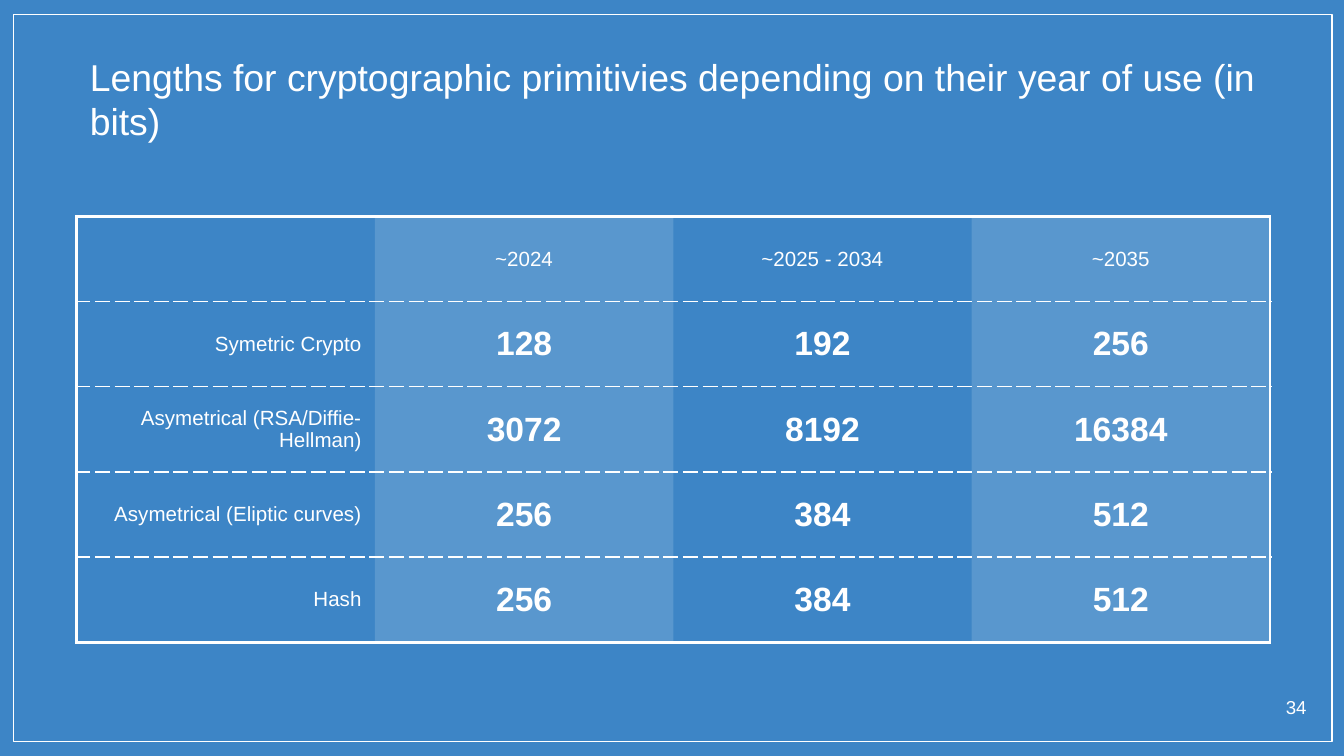
"""Build a slide with a table of key lengths by year of use."""
from dataclasses import dataclass

from lxml.etree import SubElement
from pptx import Presentation
from pptx.dml.color import RGBColor
from pptx.enum.shapes import MSO_SHAPE
from pptx.enum.text import MSO_ANCHOR, PP_ALIGN
from pptx.oxml.ns import qn
from pptx.util import Inches, Pt


@dataclass(frozen=True)
class Theme:
    blue: RGBColor = RGBColor(0x3D, 0x85, 0xC6)
    white: RGBColor = RGBColor(0xFF, 0xFF, 0xFF)
    font: str = "Arial"
    title: float = 20
    label: float = 11
    value: float = 18
    number: float = 10
    thin: float = 0.75
    thick: float = 1.5
    band_alpha: int = 15


THEME = Theme()


def write(frame, text, size, align, bold=False):
    paragraph = frame.paragraphs[0]
    paragraph.text = text
    paragraph.alignment = align
    formats = {"name": THEME.font, "size": Pt(size), "bold": bold}
    for attribute, value in formats.items():
        setattr(paragraph.font, attribute, value)
    paragraph.font.color.rgb = THEME.white


def add_border(cell, side, width=0, dash="solid"):
    line = SubElement(cell._tc.get_or_add_tcPr(), qn(f"a:ln{side}"), w=str(Pt(width)))
    if width:
        fill = SubElement(line, qn("a:solidFill"))
        SubElement(fill, qn("a:srgbClr"), val=str(THEME.white))
        SubElement(line, qn("a:prstDash"), val=dash)
    else:
        SubElement(line, qn("a:noFill"))


deck = Presentation()
deck.slide_width = Inches(10)
deck.slide_height = deck.slide_width * 9 // 16
slide = deck.slides.add_slide(deck.slide_layouts[6])
slide.background.fill.solid()
slide.background.fill.fore_color.rgb = THEME.blue

frame_line = slide.shapes.add_shape(
    MSO_SHAPE.RECTANGLE, Inches(0.1), Inches(0.11), Inches(9.81), Inches(5.41)
)
frame_line.shadow.inherit = False
frame_line.fill.background()
frame_line.line.color.rgb = THEME.white
frame_line.line.width = Pt(THEME.thin)

captions = [
    ("Lengths for cryptographic primitivies depending on their year of use (in bits)",
     (0.57, 0.3, 9.4, 0.77), THEME.title, PP_ALIGN.LEFT),
    ("34", (9.32, 5.09, 0.5, 0.32), THEME.number, PP_ALIGN.RIGHT),
]
for text, place, size, align in captions:
    caption = slide.shapes.add_textbox(*map(Inches, place)).text_frame
    caption.word_wrap = True
    for side in ("left", "top", "right", "bottom"):
        setattr(caption, f"margin_{side}", Inches(0.1))
    write(caption, text, size, align)

lengths = [
    ("", "~2024", "~2025 - 2034", "~2035"),
    ("Symetric Crypto", "128", "192", "256"),
    ("Asymetrical (RSA/Diffie-Hellman)", "3072", "8192", "16384"),
    ("Asymetrical (Eliptic curves)", "256", "384", "512"),
    ("Hash", "256", "384", "512"),
]
last_row, last_column = len(lengths) - 1, len(lengths[0]) - 1
table = slide.shapes.add_table(
    len(lengths), len(lengths[0]), Inches(0.57), Inches(1.61), Inches(8.88), Inches(3.17)
).table
table.first_row = table.horz_banding = False

cell_format = {
    "margin_left": Inches(0.1), "margin_right": Inches(0.1),
    "margin_top": Inches(0.07), "margin_bottom": Inches(0.07),
    "vertical_anchor": MSO_ANCHOR.MIDDLE,
}
for row, entries in enumerate(lengths):
    for column, entry in enumerate(entries):
        cell = table.cell(row, column)
        for attribute, value in cell_format.items():
            setattr(cell, attribute, value)
        is_value = row > 0 and column > 0
        write(cell.text_frame, entry, THEME.value if is_value else THEME.label,
              PP_ALIGN.CENTER if column else PP_ALIGN.RIGHT, is_value)

        outer = {"L": column == 0, "R": column == last_column,
                 "T": row == 0, "B": row == last_row}
        for side, on_edge in outer.items():
            if on_edge:
                add_border(cell, side, THEME.thick)
            elif side in "TB":
                add_border(cell, side, THEME.thin, "dash")
            else:
                add_border(cell, side)

        if column % 2:
            cell.fill.solid()
            cell.fill.fore_color.rgb = THEME.white
            tint = cell._tc.tcPr.find(f"{qn('a:solidFill')}/{qn('a:srgbClr')}")
            SubElement(tint, qn("a:alpha"), val=str(THEME.band_alpha * 1000))
        else:
            cell.fill.background()

deck.save("out.pptx")
